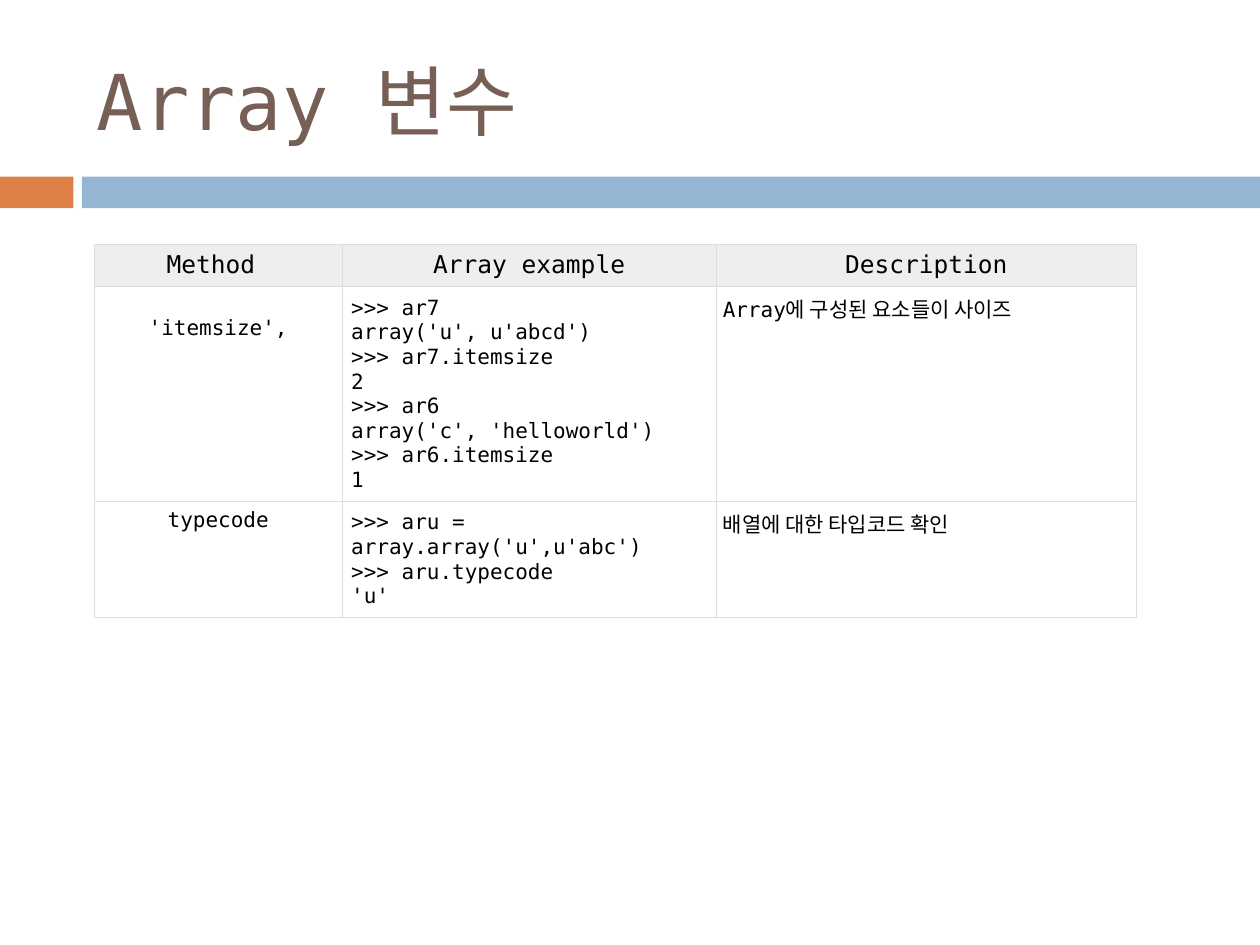
import pptx
import pptx.util
import pptx.dml.color
import pptx.enum.shapes
import pptx.enum.text
import pptx.oxml
import pptx.oxml.ns

Cm = pptx.util.Cm
Pt = pptx.util.Pt
RGBColor = pptx.dml.color.RGBColor
ALIGN = pptx.enum.text.PP_ALIGN
ANCHOR = pptx.enum.text.MSO_ANCHOR

ORANGE = RGBColor(0xDD, 0x80, 0x47)
BLUE = RGBColor(0x94, 0xB6, 0xD2)
BROWN = RGBColor(0x77, 0x5F, 0x55)
BLACK = RGBColor(0, 0, 0)
HEADER_GREY = RGBColor(0xEE, 0xEE, 0xEE)
BORDER_GREY = RGBColor(0xDD, 0xDD, 0xDD)
FONT = "DejaVu Sans Mono"


def style_text(para, size, color, align):
    para.alignment = align
    for span in para.runs:
        span.font.name = FONT
        span.font.size = Pt(size)
        span.font.color.rgb = color


def add_borders(cell):
    properties = cell._tc.get_or_add_tcPr()
    for side in ("lnL", "lnR", "lnT", "lnB"):
        properties.append(pptx.oxml.parse_xml(
            f'<a:{side} {pptx.oxml.ns.nsdecls("a")} w="{Pt(0.6)}"><a:solidFill>'
            f'<a:srgbClr val="{BORDER_GREY}"/></a:solidFill></a:{side}>'))


deck = pptx.Presentation()
deck.slide_width = Cm(25.4)
deck.slide_height = Cm(19.05)
page = deck.slides.add_slide(deck.slide_layouts[5])

for left, width, color in ((0, 1.48, ORANGE), (1.65, 23.75, BLUE)):
    bar = page.shapes.add_shape(pptx.enum.shapes.MSO_SHAPE.RECTANGLE,
                                Cm(left), Cm(3.56), Cm(width), Cm(0.64))
    bar.shadow.inherit = False
    bar.fill.solid()
    bar.fill.fore_color.rgb = color
    bar.line.fill.background()

title = page.shapes.title
title.left, title.top, title.width, title.height = Cm(1.7), Cm(0.64), Cm(22.66), Cm(2.74)
title.text_frame.text = "Array 변수"
title.text_frame.vertical_anchor = ANCHOR.MIDDLE
style_text(title.text_frame.paragraphs[0], 44, BROWN, ALIGN.LEFT)

rows = [
    ["Method ", "Array example", "Description"],
    ["'itemsize',",
     ">>> ar7\narray('u', u'abcd')\n>>> ar7.itemsize\n2\n"
     ">>> ar6\narray('c', 'helloworld')\n>>> ar6.itemsize\n1",
     "Array에 구성된 요소들이 사이즈"],
    ["typecode",
     ">>> aru = array.array('u',u'abc')\n>>> aru.typecode\n'u'",
     "배열에 대한 타입코드 확인"],
]
column_widths = (5.0, 7.54, 8.47)
row_heights = (0.85, 4.31, 2.32)

table = page.shapes.add_table(len(rows), len(column_widths), Cm(1.9), Cm(4.93),
                              Cm(sum(column_widths)), Cm(sum(row_heights))).table
for column, width in zip(table.columns, column_widths):
    column.width = Cm(width)
for row, height in zip(table.rows, row_heights):
    row.height = Cm(height)

for row_index, texts in enumerate(rows):
    for column_index, text in enumerate(texts):
        cell = table.cell(row_index, column_index)
        is_header = row_index == 0
        is_code = column_index == 1 and not is_header
        margin = Cm(0.18 if is_code else 0.13)
        cell.margin_left = cell.margin_right = margin
        cell.margin_top = cell.margin_bottom = margin
        cell.vertical_anchor = ANCHOR.TOP
        add_borders(cell)
        if is_header:
            cell.fill.solid()
            cell.fill.fore_color.rgb = HEADER_GREY
        else:
            cell.fill.background()
        cell.text_frame.text = text
        centred = is_header or column_index == 0
        for para in cell.text_frame.paragraphs:
            style_text(para, 14 if is_header else 12, BLACK,
                       ALIGN.CENTER if centred else ALIGN.LEFT)

table.cell(1, 0).margin_top = Cm(0.59)

deck.save("out.pptx")
